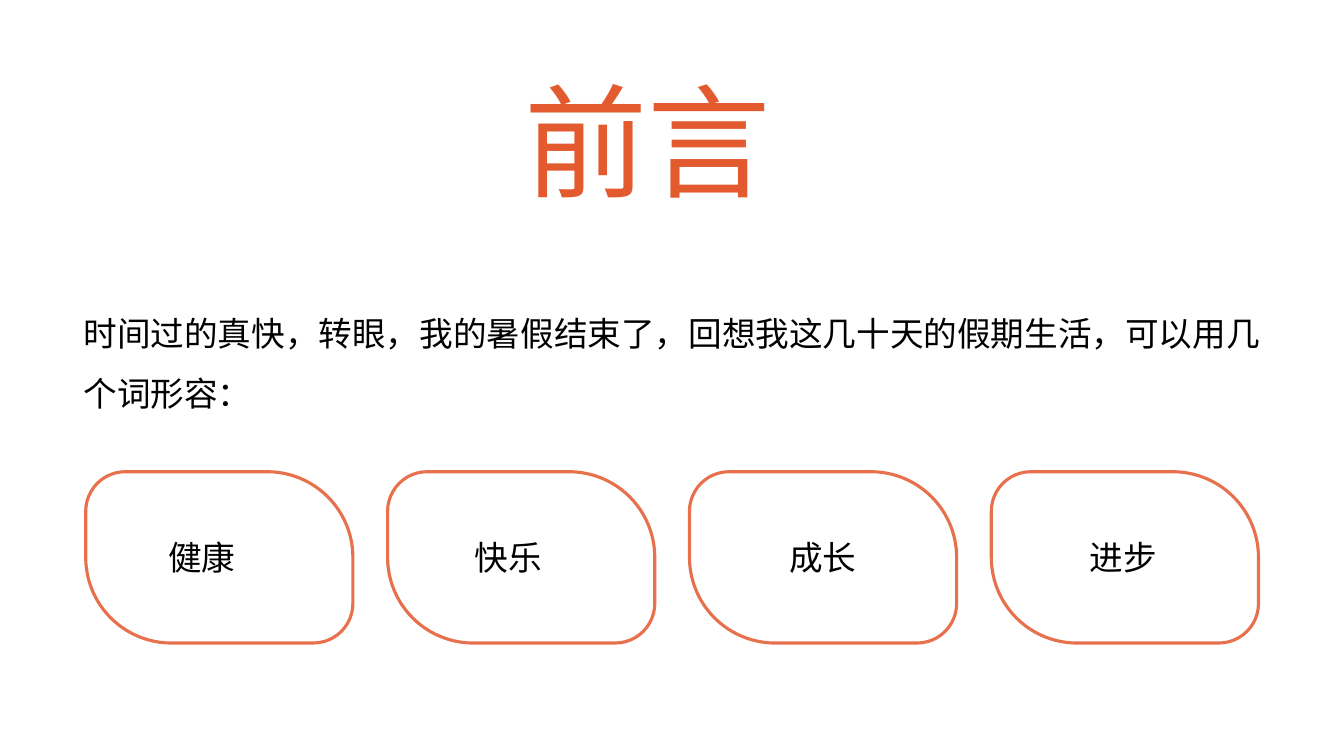
from lxml import etree
from pptx import Presentation
from pptx.dml.color import RGBColor
from pptx.enum import shapes, text
from pptx.oxml import ns
from pptx.util import Inches, Pt

HUES = {"title": "E35A2F", "edge": "E7714D", "ink": "000000", "fill": "FFFFFF"}
SANS = "Noto Sans CJK SC"
HEAD = "Noto Sans CJK JP"


class Deck:
    """Hold the style and the current slide, and draw its elements."""

    def __init__(self):
        self.prs = Presentation()
        self.prs.slide_width = Inches(13.33)
        self.prs.slide_height = Inches(7.5)
        self.slide = self.prs.slides.add_slide(self.prs.slide_layouts[6])

    def label(self, box, words, size=24, face=SANS, hue="ink", align=None, gap=None):
        item = self.slide.shapes.add_textbox(*map(Inches, box))
        frame = item.text_frame
        frame.word_wrap = True
        frame.auto_size = text.MSO_AUTO_SIZE.SHAPE_TO_FIT_TEXT
        para = frame.paragraphs[0]
        para.alignment = align
        para.line_spacing = gap
        run = para.add_run()
        run.text = words
        font = run.font
        font.size = Pt(size)
        font.color.rgb = RGBColor.from_string(HUES[hue])
        font.name = face
        props = run._r.get_or_add_rPr()
        etree.SubElement(props, ns.qn("a:ea"), typeface=face)

    def leaf(self, box):
        kind = shapes.MSO_SHAPE.ROUND_2_DIAG_RECTANGLE
        item = self.slide.shapes.add_shape(kind, *map(Inches, box))
        item.adjustments[0] = 0.231
        item.adjustments[1] = 0.5
        item.shadow.inherit = False
        item.fill.solid()
        item.fill.fore_color.rgb = RGBColor.from_string(HUES["fill"])
        item.line.color.rgb = RGBColor.from_string(HUES["edge"])
        item.line.width = Pt(2.25)


def main():
    deck = Deck()
    just = text.PP_ALIGN.JUSTIFY
    deck.label((0.73, 2.85, 11.87, 1.31),
               "时间过的真快，转眼，我的暑假结束了，回想我这几十天的假期生活，可以用几个词形容：",
               gap=1.5)
    deck.label((5.1, 0.6, 3.14, 1.58), "前言", 88, HEAD, "title", just)
    words = {"健康": 1.57, "快乐": 4.61, "成长": 7.73, "进步": 10.71}
    for col, (word, left) in enumerate(words.items()):
        deck.leaf((0.85 + col * 2.994, 4.68, 2.65, 1.7))
        deck.label((left, 5.28, 1.06, 0.5), word, align=just)
    deck.prs.save("out.pptx")


if __name__ == "__main__":
    main()
